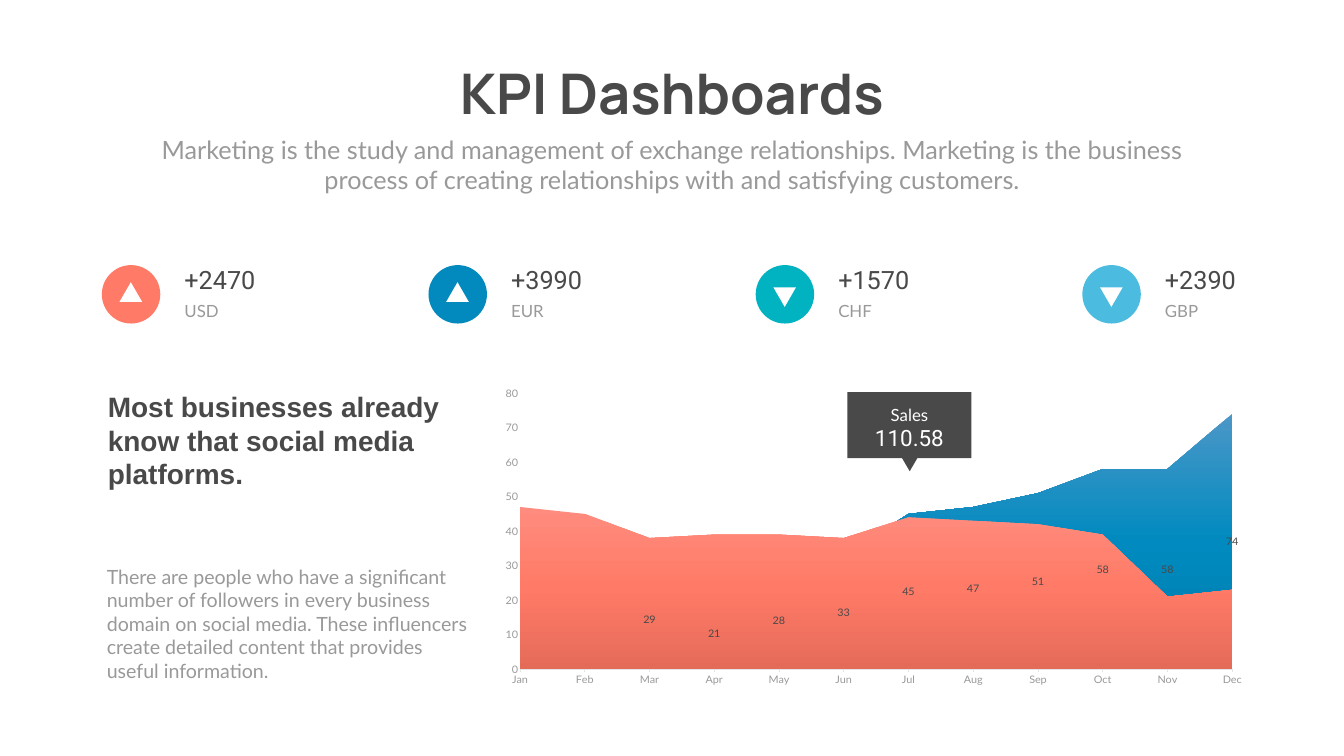
from typing import NamedTuple

from pptx import Presentation
from pptx.chart.data import CategoryChartData
from pptx.dml.color import RGBColor
from pptx.enum.chart import XL_CHART_TYPE as CHART, XL_TICK_MARK as TICK
from pptx.enum.shapes import MSO_SHAPE as SHAPE
from pptx.enum.text import MSO_ANCHOR as ANCHOR, PP_ALIGN as ALIGN
from pptx.oxml import parse_xml
from pptx.oxml.ns import nsdecls, qn
from pptx.util import Emu, Pt

PX = 9144  # 100 px to the inch
C = {
    "dark": "494949", "grey": "999999", "line": "E4E4E4", "white": "FFFFFF",
    "coral": "FF7A67", "blue": "0289BD", "teal": "01B2C0", "sky": "4BBBDF",
}
MONTHS = "Jan Feb Mar Apr May Jun Jul Aug Sep Oct Nov Dec".split()
KPI_LEFT, KPI_PITCH = 202, 648.4


class Kpi(NamedTuple):
    value: str
    currency: str
    color: str
    rising: bool


class Area(NamedTuple):
    name: str
    values: tuple[int, ...]
    stops: tuple[str, str, str]
    labelled: bool = False


KPIS = [
    Kpi("+2470", "USD", "coral", True),
    Kpi("+3990", "EUR", "blue", True),
    Kpi("+1570", "CHF", "teal", False),
    Kpi("+2390", "GBP", "sky", False),
]
AREAS = [
    Area("Series 1", (47, 45, 38, 39, 39, 38, 44, 43, 42, 39, 21, 23),
         ("FF8C7E", "FF7A67", "E56B59")),
    Area("Series 2", (0, 12, 29, 21, 28, 33, 45, 47, 51, 58, 58, 74),
         ("4B97C7", "008ABF", "007BAA"), labelled=True),
    Area("Series 3", (17, 15, 22, 18, 13, 21, 28, 22, 30, 21, 12, 21),
         ("4BBCC9", "00B3C1", "009FAC")),
    Area("Series 4", (10, 4, 7, 12, 9, 18, 14, 18, 20, 25, 17, 15),
         ("66C3E4", "44BFE6", "34AED5")),
]


def rgb(name: str) -> RGBColor:
    return RGBColor.from_string(C[name])


def box(*lengths: int) -> list[Emu]:
    return [Emu(n * PX) for n in lengths]


def set_font(font, size: int, name: str, color: str, bold: bool = False) -> None:
    font.size, font.name, font.bold = Pt(size), name, bold
    font.color.rgb = rgb(color)


def add_text(s, text: str, x: int, y: int, w: int, h: int, *, size: int,
             font: str = "Lato", color: str = "grey", bold: bool = False,
             align=ALIGN.LEFT, wrap: bool = True, leading: float | None = None) -> None:
    tf = s.shapes.add_textbox(*box(x, y, w, h)).text_frame
    tf.word_wrap = wrap
    tf.vertical_anchor = ANCHOR.TOP
    p = tf.paragraphs[0]
    p.alignment = align
    if leading:
        p.line_spacing = Pt(leading)
    r = p.add_run()
    r.text = text
    set_font(r.font, size, font, color, bold)


def add_block(s, kind, x: int, y: int, w: int, h: int, color: str,
              rotation: int = 0) -> None:
    sp = s.shapes.add_shape(kind, *box(x, y, w, h))
    sp.shadow.inherit = False
    sp.fill.solid()
    sp.fill.fore_color.rgb = rgb(color)
    sp.line.fill.background()
    sp.rotation = rotation


def add_kpi(s, kpi: Kpi, x: int) -> None:
    add_text(s, kpi.value, x + 154, 519, 195, 71, size=36, font="Roboto", color="dark")
    add_text(s, kpi.currency, x + 154, 591, 195, 50, size=24)
    add_block(s, SHAPE.OVAL, x, 526, 116, 116, kpi.color)
    y, rotation = (560, 0) if kpi.rising else (570, 180)
    add_block(s, SHAPE.ISOSCELES_TRIANGLE, x + 35, y, 45, 39, "white", rotation)


def fill_gradient(ser, stops: tuple[str, ...]) -> None:
    """Fill a series from top to bottom with three evenly spaced stops."""
    gs = "".join(f'<a:gs pos="{i * 50000}"><a:srgbClr val="{c}"/></a:gs>'
                 for i, c in enumerate(stops))
    ser._element.get_or_add_spPr().append(parse_xml(
        f'<a:gradFill {nsdecls("a")} rotWithShape="1"><a:gsLst>{gs}</a:gsLst>'
        '<a:lin ang="5400000" scaled="0"/></a:gradFill>'))
    ser.format.line.fill.background()


def label_values(ser, skip: int) -> None:
    """Show the values of a series, leaving out the first points."""
    labels = ser.data_labels
    labels.show_value = True
    set_font(labels.font, 16, "Lato", "dark")
    for i in range(skip):
        labels._element.insert(i, parse_xml(
            f'<c:dLbl {nsdecls("c")}><c:idx val="{i}"/><c:delete val="1"/></c:dLbl>'))


def fill_frame(chart) -> None:
    """Stretch the plot area over the whole chart frame."""
    plot_area = chart._chartSpace.chart.plotArea
    for old in plot_area.findall(qn("c:layout")):
        plot_area.remove(old)
    sizes = "".join(f'<c:{k} val="{v}"/>' for k, v in zip("xywh", (0, 0, 1, 1)))
    plot_area.insert(0, parse_xml(
        f'<c:layout {nsdecls("c")}><c:manualLayout><c:layoutTarget val="inner"/>'
        f'<c:xMode val="edge"/><c:yMode val="edge"/>{sizes}'
        '</c:manualLayout></c:layout>'))


def add_area_chart(s, x: int, y: int, w: int, h: int) -> None:
    data = CategoryChartData()
    data.categories = MONTHS
    for area in AREAS:
        data.add_series(area.name, area.values)
    chart = s.shapes.add_chart(CHART.AREA, *box(x, y, w, h), data).chart
    chart.has_legend = chart.has_title = False
    set_font(chart.font, 16, "Lato", "grey")
    chart.plots[0].vary_by_categories = False
    for ser, area in zip(chart.plots[0].series, AREAS):
        fill_gradient(ser, area.stops)
        if area.labelled:
            label_values(ser, skip=2)

    cat, val = chart.category_axis, chart.value_axis
    for axis in (cat, val):
        axis.has_major_gridlines = False
        axis.minor_tick_mark = TICK.NONE
        set_font(axis.tick_labels.font, 16, "Lato", "grey")
    cat.major_tick_mark = TICK.OUTSIDE
    cat.format.line.color.rgb = rgb("line")
    cat.format.line.width = Pt(0.75)
    val.major_tick_mark = TICK.NONE
    val.format.line.fill.background()
    val.minimum_scale, val.maximum_scale, val.major_unit = 0, 80, 10
    val._element.find(qn("c:crossBetween")).set("val", "midCat")
    fill_frame(chart)


def add_callout(s) -> None:
    add_block(s, SHAPE.RECTANGLE, 1681, 778, 246, 131, "dark")
    add_block(s, SHAPE.ISOSCELES_TRIANGLE, 1780, 893, 49, 42, "dark", 180)
    add_text(s, "Sales", 1713, 782, 182, 60, size=24, color="white",
             align=ALIGN.CENTER, leading=40.8)
    add_text(s, "110.58", 1713, 837, 182, 64, size=32, font="Roboto", color="white",
             align=ALIGN.CENTER)


def main() -> None:
    prs = Presentation()
    prs.slide_width, prs.slide_height = box(2666, 1500)
    s = prs.slides.add_slide(prs.slide_layouts[6])

    add_text(s, "KPI Dashboards", 867, 112, 932, 145, size=80, font="Manrope",
             color="dark", bold=True, align=ALIGN.CENTER, wrap=False)
    add_text(s, "Marketing is the study and management of exchange relationships. "
             "Marketing is the business process of creating relationships with and "
             "satisfying customers.", 292, 261, 2082, 131, size=36, align=ALIGN.CENTER)
    for i, kpi in enumerate(KPIS):
        add_kpi(s, kpi, round(KPI_LEFT + i * KPI_PITCH))
    add_text(s, "There are people who have a significant number of followers in every "
             "business domain on social media. These influencers create detailed "
             "content that provides useful information.", 202, 1115, 739, 246, size=28)
    add_text(s, "Most businesses already know that social media platforms.",
             204, 768, 739, 212, size=40, font="Arial", color="dark", bold=True)
    add_area_chart(s, 1003, 768, 1460, 593)
    add_callout(s)
    prs.save("out.pptx")


if __name__ == "__main__":
    main()
